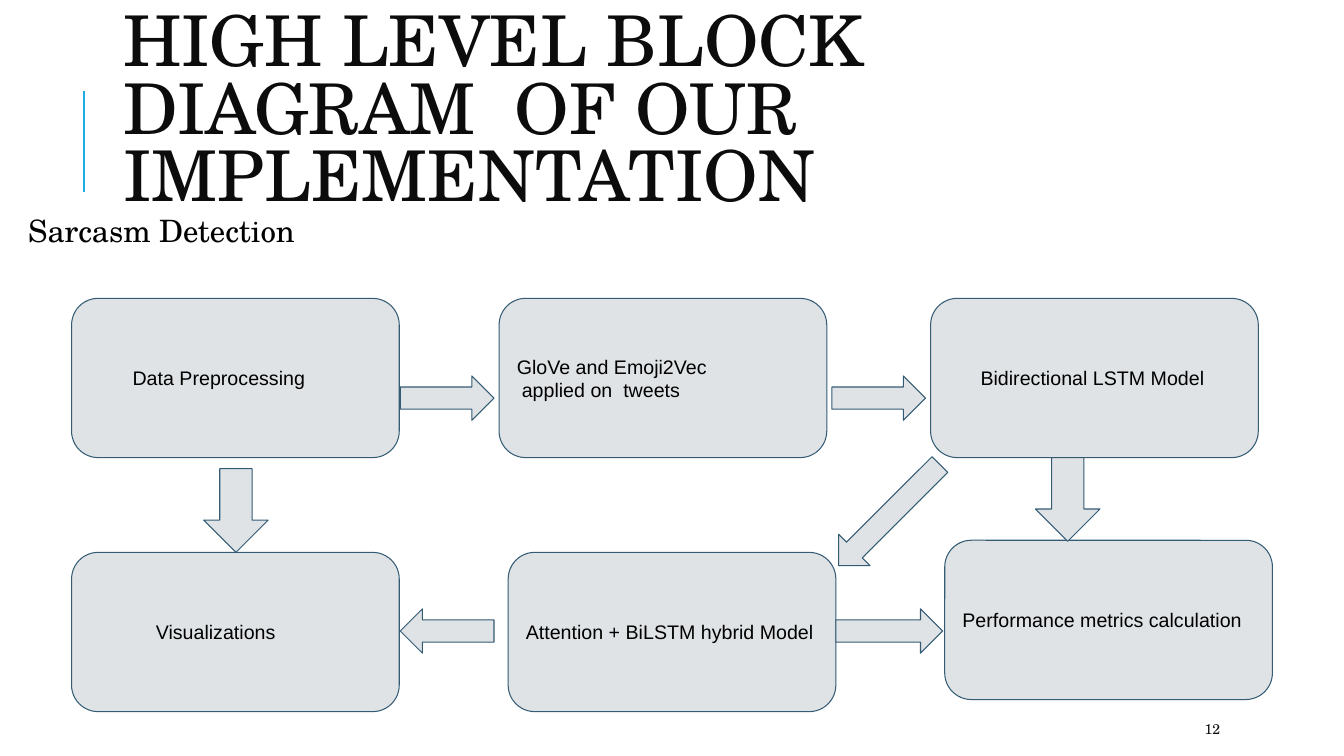
"""Builds the block diagram slide of the sarcasm detection implementation."""
import pptx
import pptx.dml.color
import pptx.enum.shapes
import pptx.enum.text
import pptx.oxml.xmlchemy
import pptx.util
from pptx.util import Inches
from lxml import etree

SERIF = "TeX Gyre Schola"
MSO = pptx.enum.shapes.MSO_SHAPE
ANCHOR = pptx.enum.text.MSO_ANCHOR
A = "{http://schemas.openxmlformats.org/drawingml/2006/main}"


def paint(color_format, value):
    color_format.rgb = pptx.dml.color.RGBColor.from_string(value)


def add_run(p, text, size, font, color):
    p.alignment = pptx.enum.text.PP_ALIGN.LEFT
    r = p.add_run()
    r.text = text
    r.font.size = pptx.util.Pt(size)
    r.font.name = font
    paint(r.font.color, color)


prs = pptx.Presentation()
prs.slide_width, prs.slide_height = Inches(13.33), Inches(7.5)
s = prs.slides.add_slide(prs.slide_layouts[1])

line = s.shapes.add_connector(pptx.enum.shapes.MSO_CONNECTOR.STRAIGHT,
                              Inches(0.83), Inches(1.9), Inches(0.83), Inches(0.9))
paint(line.line.color, "1CADE4")
line.line.width = pptx.util.Pt(1.5)
etree.SubElement(line._element.spPr, A + "effectLst")

title, body = s.placeholders
number = s.shapes.add_textbox(0, 0, 0, 0)
texts = [
    (title, (1.12, 0.64, 10.63, 1.64), (0.1, 0.05, 0.1, 0.71), ANCHOR.MIDDLE,
     "HIGH LEVEL BLOCK DIAGRAM  OF OUR IMPLEMENTATION", 50, "0C0C0C", 0.8),
    (body, (0.23, 2.09, 12.69, 5.14), (0.05, 0.05, 0.05, 0.05), ANCHOR.TOP,
     "Sarcasm Detection", 22, "000000", 0.9),
    (number, (11.85, 7.08, 1.06, 0.3), (0.1, 0.05, 0.1, 0.05), ANCHOR.MIDDLE,
     "12", 10, "0C0C0C", 1.0),
]
for sp, place, margins, anchor, text, size, color, spacing in texts:
    sp.left, sp.top, sp.width, sp.height = map(Inches, place)
    tf = sp.text_frame
    tf.margin_left, tf.margin_top, tf.margin_right, tf.margin_bottom = map(Inches, margins)
    tf.word_wrap = True
    tf.auto_size = pptx.enum.text.MSO_AUTO_SIZE.NONE
    tf.vertical_anchor = anchor
    tf.paragraphs[0].line_spacing = spacing
    add_run(tf.paragraphs[0], text, size, SERIF, color)

p = body.text_frame.paragraphs[0]
p.space_before, p.space_after = pptx.util.Pt(12), pptx.util.Pt(2)
pPr = p._p.get_or_add_pPr()
pPr.set("marL", "0")
pPr.set("indent", "0")
etree.SubElement(pPr, A + "buNone")

BOX_W, BOX_H = 3.25, 1.58
boxes = [
    (0.71, 2.96, [("Data Preprocessing", 0.43)]),
    (4.95, 2.96, [("GloVe and Emoji2Vec", 0), ("applied on  tweets", 0.05)]),
    (9.23, 2.96, [("Bidirectional LSTM Model", 0.32)]),
    (0.71, 5.48, [("Visualizations", 0.66)]),
    (5.04, 5.48, [("Attention + BiLSTM hybrid Model", 0)]),
    (9.37, 5.36, [("Performance metrics calculation", 0)]),
]
arrows = [
    (MSO.RIGHT_ARROW, 3.97, 3.73, 0.93, 0.44, 0),
    (MSO.RIGHT_ARROW, 8.25, 3.73, 0.93, 0.44, 0),
    (MSO.DOWN_ARROW, 2.02, 4.65, 0.64, 0.83, 0),
    (MSO.LEFT_ARROW, 3.97, 6.04, 0.93, 0.44, 0),
    (MSO.RIGHT_ARROW, 8.29, 6.04, 1.06, 0.44, 0),
    (MSO.DOWN_ARROW, 10.27, 4.54, 0.64, 0.83, 0),
    (MSO.RIGHT_ARROW, 8.11, 4.89, 1.42, 0.44, 135),
]
blocks = [(MSO.ROUNDED_RECTANGLE, x, y, BOX_W, BOX_H, 0, lines) for x, y, lines in boxes]
blocks += [arrow + ([],) for arrow in arrows]

for kind, x, y, w, h, angle, lines in blocks:
    sp = s.shapes.add_shape(kind, Inches(x), Inches(y), Inches(w), Inches(h))
    sp.rotation = angle
    sp.shadow.inherit = False
    sp.fill.solid()
    paint(sp.fill.fore_color, "DFE3E5")
    paint(sp.line.color, "335B74")
    sp.line.width = pptx.util.Pt(0.75)
    tf = sp.text_frame
    tf.word_wrap = True
    tf.vertical_anchor = ANCHOR.MIDDLE
    tf.margin_left = tf.margin_top = tf.margin_right = tf.margin_bottom = Inches(0.1)
    for i, (text, indent) in enumerate(lines):
        p = tf.add_paragraph() if i else tf.paragraphs[0]
        p._p.get_or_add_pPr().set("marL", str(Inches(indent)))
        add_run(p, text, 14, "Arial", "000000")

prs.save("out.pptx")
